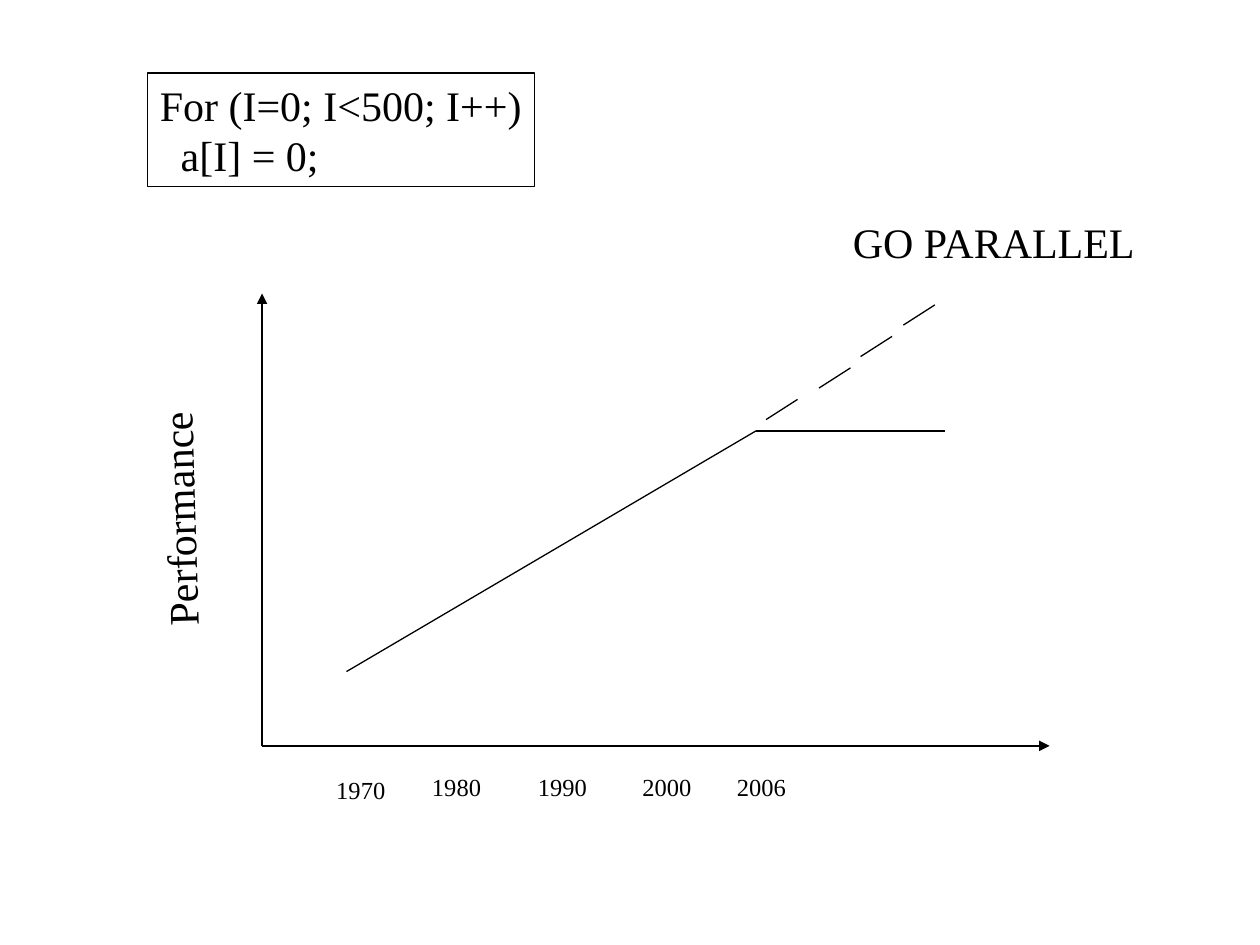
from lxml import etree
from pptx import Presentation
from pptx import util as u
from pptx.dml.color import RGBColor
from pptx.enum import shapes, text
from pptx.oxml import ns


def colour(value):
    return RGBColor.from_string(value)


class Sketch:
    """Holds the style and the page that elements are drawn on."""

    font = "Times New Roman"
    ink = "000000"
    weight = 0.75

    def __init__(self, page):
        self.page = page

    def label(self, left, top, width, height, lines, size=24, turn=0):
        box = self.page.shapes.add_textbox(
            u.Inches(left), u.Inches(top), u.Inches(width), u.Inches(height))
        box.rotation = turn
        self.fill_text(box, lines, size)

    def framed(self, left, top, width, height, lines, size=24):
        box = self.page.shapes.add_shape(
            shapes.MSO_SHAPE.RECTANGLE,
            u.Inches(left), u.Inches(top), u.Inches(width), u.Inches(height))
        box.shadow.inherit = False
        box.fill.background()
        self.stroke(box.line)
        self.fill_text(box, lines, size)

    def fill_text(self, box, lines, size):
        frame = box.text_frame
        frame.word_wrap = False
        frame.auto_size = text.MSO_AUTO_SIZE.SHAPE_TO_FIT_TEXT
        frame.vertical_anchor = text.MSO_ANCHOR.TOP
        for index, line in enumerate(lines):
            para = frame.add_paragraph() if index else frame.paragraphs[0]
            para.alignment = text.PP_ALIGN.LEFT
            span = para.add_run()
            span.text = line
            span.font.name = self.font
            span.font.size = u.Pt(size)
            span.font.color.rgb = colour(self.ink)

    def stroke(self, line):
        line.color.rgb = colour(self.ink)
        line.width = u.Pt(self.weight)

    def line(self, start, end, arrow=False):
        link = self.page.shapes.add_connector(
            shapes.MSO_CONNECTOR.STRAIGHT,
            *(u.Inches(value) for value in (*start, *end)))
        self.stroke(link.line)
        properties = link._element.spPr
        if arrow:
            outline = properties.find(ns.qn("a:ln"))
            etree.SubElement(outline, ns.qn("a:tailEnd"), type="triangle")
        etree.SubElement(properties, ns.qn("a:effectLst"))


def main():
    deck = Presentation()
    deck.slide_width, deck.slide_height = u.Inches(10), u.Inches(7.5)
    sketch = Sketch(deck.slides.add_slide(deck.slide_layouts[6]))

    sketch.framed(1.17, 0.58, 3.07, 0.9,
                  ["For (I=0; I<500; I++)", "  a[I] = 0;"])

    origin = (2.08, 5.92)
    sketch.line(origin, (8.33, 5.92), arrow=True)
    sketch.line(origin, (2.08, 2.33), arrow=True)

    years = [("1970", 2.57, 6.1), ("1980", 3.33, 6.08), ("1990", 4.17, 6.08),
             ("2000", 5, 6.08), ("2006", 5.75, 6.08)]
    for year, left, top in years:
        sketch.label(left, top, 0.59, 0.34, [year], size=14)
    sketch.label(0.47, 3.87, 1.9, 0.5, ["Performance"], turn=268.3)

    plateau = (6, 3.42)
    sketch.line((2.75, 5.33), plateau)
    sketch.line(plateau, (7.5, 3.42))

    for step, x in enumerate((6.08, 6.5, 6.83, 7.17)):
        y = 3.33 - step * 0.25
        sketch.line((x, y), (x + 0.25, y - 0.16))
    sketch.label(6.67, 1.67, 2.47, 0.5, ["GO PARALLEL"])

    deck.save("out.pptx")


if __name__ == "__main__":
    main()
